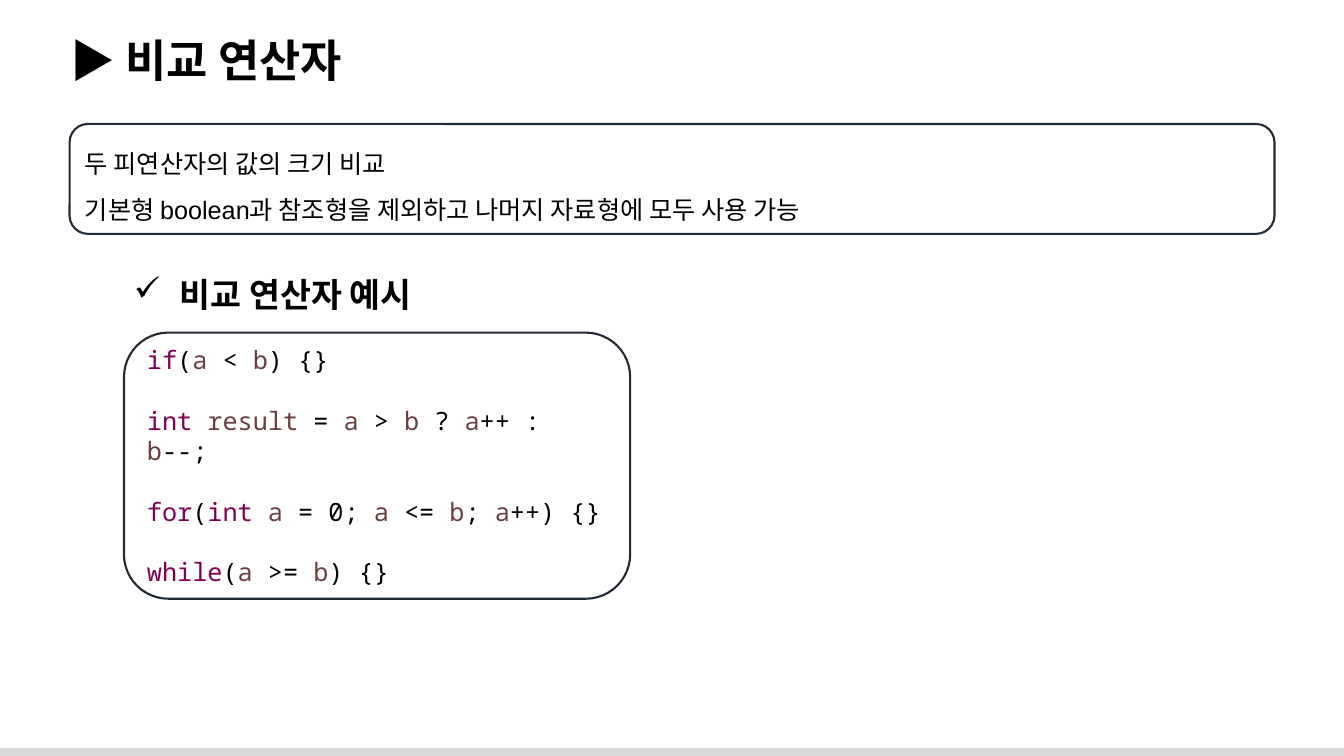
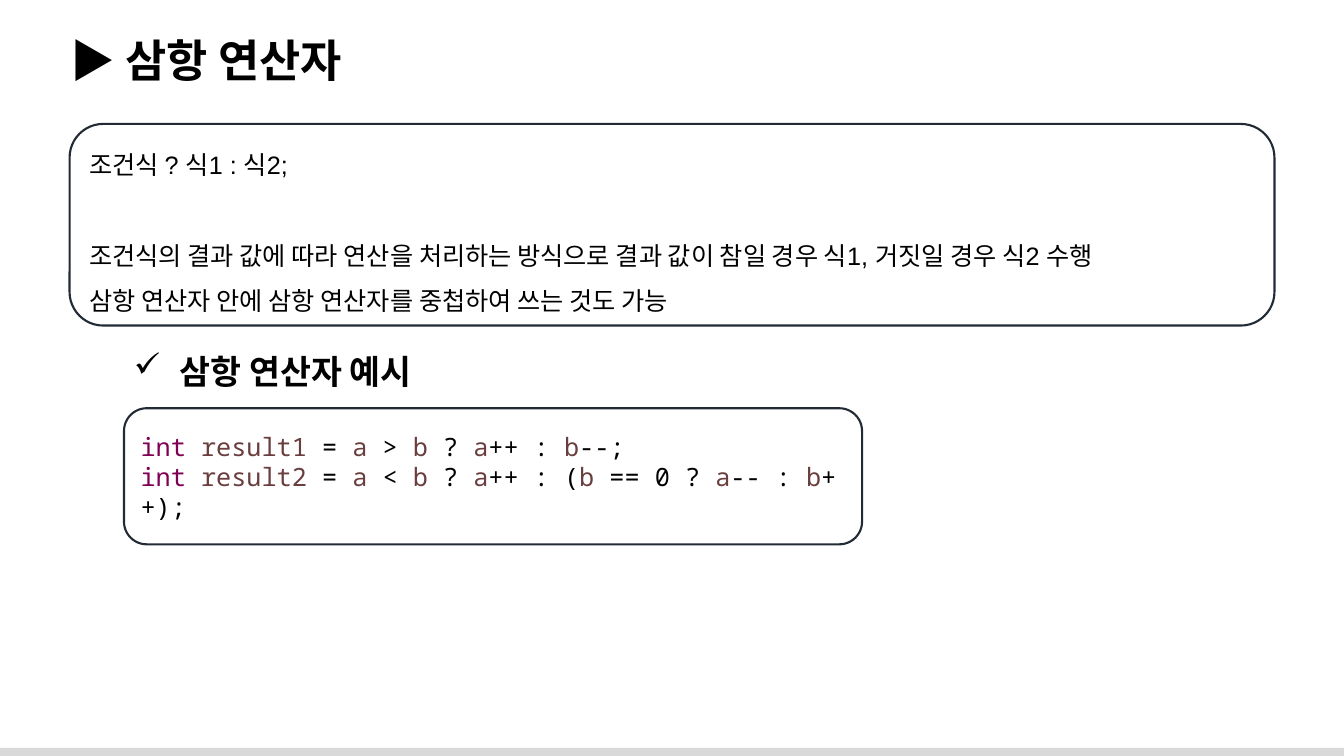
from itertools import groupby

from lxml.etree import SubElement
from pptx import Presentation
from pptx.dml.color import RGBColor
from pptx.enum.shapes import MSO_SHAPE as Shape
from pptx.enum.text import MSO_ANCHOR as Anchor, MSO_AUTO_SIZE as AutoSize, PP_ALIGN as Align
from pptx.oxml.ns import qn
from pptx.util import Inches, Pt

KEYWORDS = {"if", "int", "for", "while"}
BLACK, NAVY, GREY = "000000", "222A35", "D9D9D9"
PURPLE, BROWN = "7F0055", "6A3E3E"


def color(value):
    """Turn a hex string into a colour."""
    return RGBColor.from_string(value)


def token_color(token):
    """Choose the colour of one piece of code."""
    if token in KEYWORDS:
        return PURPLE
    return BROWN if token[0].isalpha() else BLACK


def highlight(line):
    """Split a line of code into (text, colour) spans."""
    tokens = ["".join(group) for _, group in groupby(line, str.isalnum)]
    return [("".join(group), shade) for shade, group in groupby(tokens, token_color)]


def write(para, text, font="Arial", size=18, shade=BLACK, bold=False):
    """Add one formatted span to a paragraph."""
    span = para.add_run()
    span.text = text
    span.font.name = font
    span.font.size = Pt(size)
    span.font.bold = bold
    span.font.color.rgb = color(shade)


class Lesson:
    """Holds the deck, its style and the current page."""

    def __init__(self):
        """Start an empty widescreen deck."""
        self.deck = Presentation()
        self.deck.slide_width = Inches(13.33)
        self.deck.slide_height = Inches(7.5)

    def new_page(self, title):
        """Add a page with its footer band and title."""
        self.page = self.deck.slides.add_slide(self.deck.slide_layouts[6])
        band = self.shape(Shape.RECTANGLE, -0.03, 7.42, 13.39, 0.11)
        band.fill.solid()
        band.fill.fore_color.rgb = color(GREY)
        band.line.fill.background()
        para = self.text_box(0.6, 0.28, 12.6, 0.64, wrap=True)
        write(para, "▶ " + title, size=32, bold=True)

    def shape(self, kind, left, top, width, height):
        """Add a preset shape without a shadow."""
        shape = self.page.shapes.add_shape(
            kind, Inches(left), Inches(top), Inches(width), Inches(height))
        shape.shadow.inherit = False
        return shape

    def text_box(self, left, top, width, height, wrap):
        """Add a growing text box and return its paragraph."""
        box = self.page.shapes.add_textbox(
            Inches(left), Inches(top), Inches(width), Inches(height))
        box.text_frame.word_wrap = wrap
        box.text_frame.auto_size = AutoSize.SHAPE_TO_FIT_TEXT
        return box.text_frame.paragraphs[0]

    def panel(self, left, top, width, height, count):
        """Add an outlined round panel and return its paragraphs."""
        box = self.shape(Shape.ROUNDED_RECTANGLE, left, top, width, height)
        box.fill.background()
        box.line.color.rgb = color(NAVY)
        box.line.width = Pt(1.5)
        frame = box.text_frame
        frame.word_wrap = True
        frame.vertical_anchor = Anchor.MIDDLE
        for _ in range(count - 1):
            frame.add_paragraph()
        for para in frame.paragraphs:
            para.alignment = Align.LEFT
        return frame.paragraphs

    def summary(self, height, lines, gap=0):
        """Add the explanation panel, with a gap after its first line."""
        paras = self.panel(0.69, 1.23, 11.95, height, len(lines))
        for para, line in zip(paras, lines):
            para.line_spacing = 1.5
            write(para, line)
        paras[0].space_after = Pt(gap)

    def heading(self, top, text):
        """Add a heading with a check mark bullet."""
        para = self.text_box(1.23, top, 3.29, 0.5, wrap=False)
        props = para._p.get_or_add_pPr()
        props.set("marL", str(Inches(0.38)))
        props.set("indent", str(-Inches(0.38)))
        SubElement(props, qn("a:buChar")).set("char", "✓")
        write(para, " " + text, size=24, bold=True)

    def code(self, top, width, height, lines, gap=0):
        """Add a panel of coloured code with equal gaps between lines."""
        paras = self.panel(1.23, top, width, height, len(lines))
        for index, (para, line) in enumerate(zip(paras, lines)):
            para.space_before = Pt(gap if index else 0)
            for text, shade in highlight(line):
                write(para, text, font="Noto Sans Mono", shade=shade)


lesson = Lesson()

lesson.new_page("비교 연산자")
lesson.summary(1.09, [
    "두 피연산자의 값의 크기 비교",
    "기본형 boolean과 참조형을 제외하고 나머지 자료형에 모두 사용 가능",
])
lesson.code(3.3, 5.02, 2.64, [
    "if(a < b) {}",
    "int result = a > b ? a++ : b--;",
    "for(int a = 0; a <= b; a++) {}",
    "while(a >= b) {}",
], gap=21.6)
lesson.heading(2.67, "비교 연산자 예시")

lesson.new_page("삼항 연산자")
lesson.summary(2, [
    "조건식 ? 식1 : 식2;",
    "조건식의 결과 값에 따라 연산을 처리하는 방식으로 결과 값이 참일 경우 식1, 거짓일 경우 식2 수행",
    "삼항 연산자 안에 삼항 연산자를 중첩하여 쓰는 것도 가능",
], gap=32.4)
lesson.code(4.05, 7.32, 1.35, [
    "int result1 = a > b ? a++ : b--;",
    "int result2 = a < b ? a++ : (b == 0 ? a-- : b++);",
])
lesson.heading(3.43, "삼항 연산자 예시")

lesson.deck.save("out.pptx")
